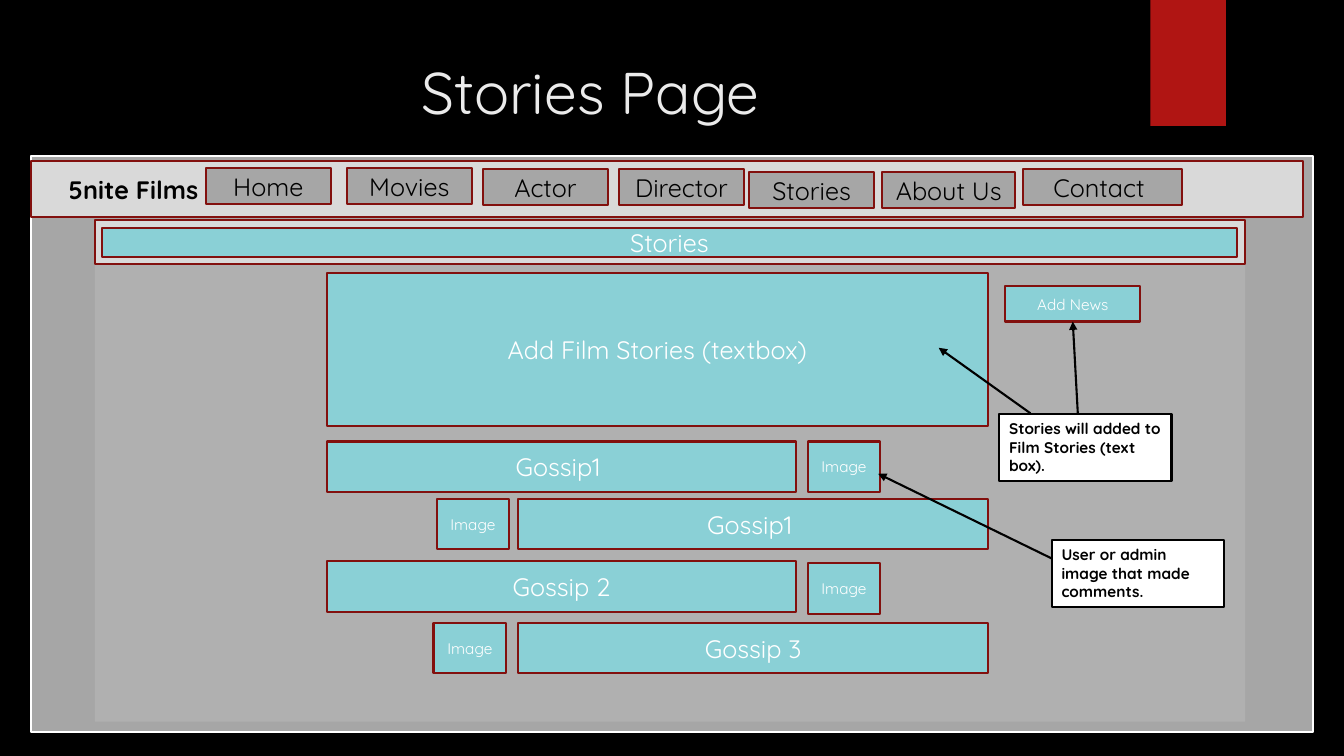
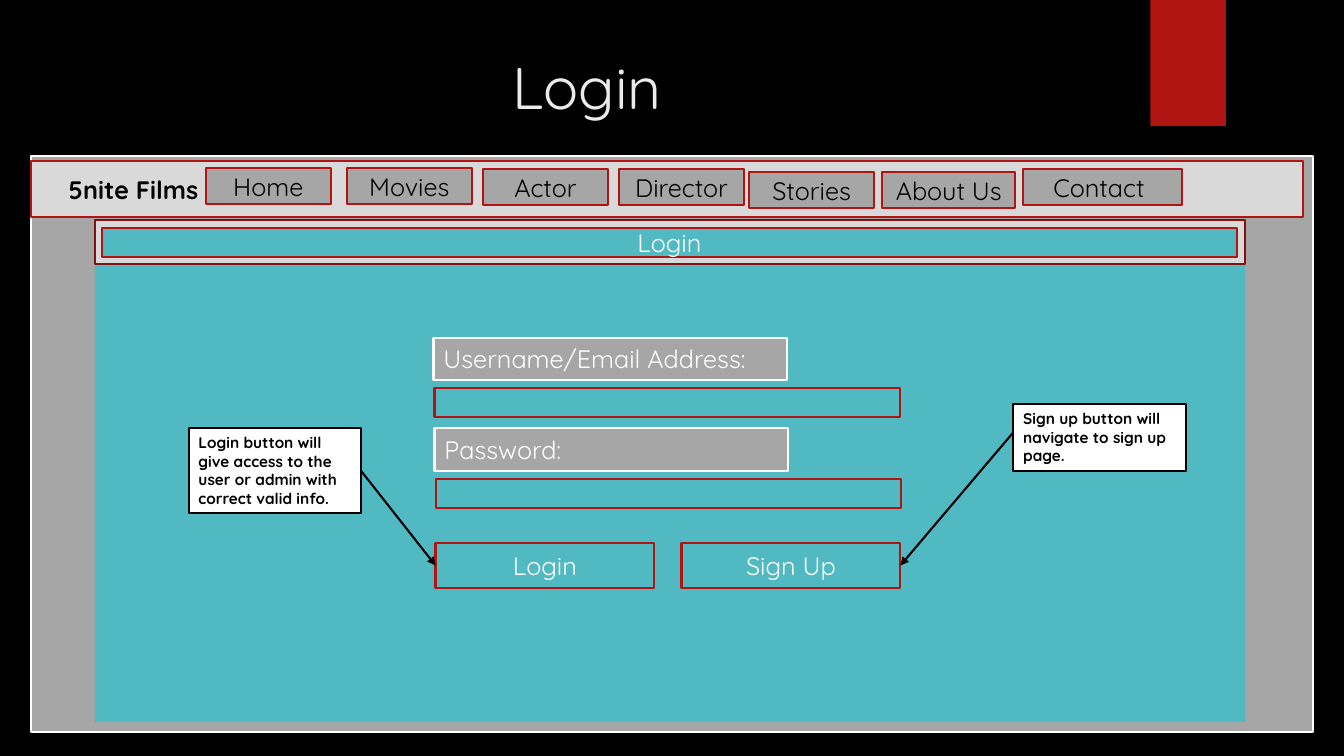
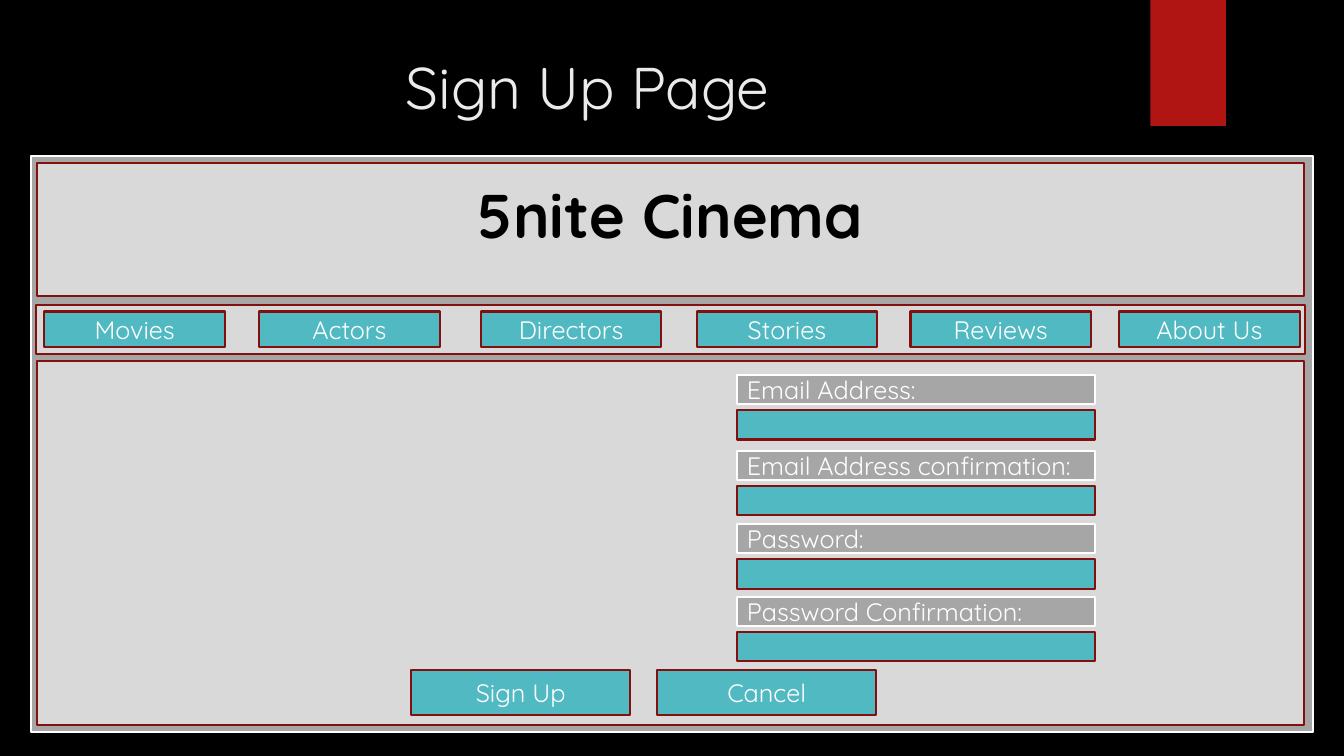
"""Build three wireframe slides of a film site: stories, login and sign up."""
from lxml.etree import SubElement
from pptx import Presentation
from pptx.dml.color import RGBColor
from pptx.enum.shapes import MSO_CONNECTOR, MSO_SHAPE
from pptx.enum.text import MSO_ANCHOR, MSO_AUTO_SIZE, PP_ALIGN
from pptx.oxml.ns import qn
from pptx.util import Emu, Pt

EMU_PER_PX = 9144
FONT = "Quicksand"
COLORS = {
    "black": "000000",
    "white": "FFFFFF",
    "title": "EBEBEB",
    "red": "B01513",
    "maroon": "82100E",
    "gray": "A6A6A6",
    "canvas": "B0B0B0",
    "light": "D9D9D9",
    "teal": "50B9C1",
    "aqua": "8AD0D6",
}
NAVIGATION = [
    ("Home", 204, 167, 124),
    ("Movies", 344, 167, 124),
    ("Actor", 479, 168, 124),
    ("Director", 614, 168, 124),
    ("Stories", 743, 171, 124),
    ("About Us", 875, 171, 132),
    ("Contact ", 1015, 168, 157),
]


def px(length):
    """Turn px into EMU."""
    return Emu(length * EMU_PER_PX)


def rgb(name):
    """Look up a named colour."""
    return RGBColor.from_string(COLORS[name])


def style_text(frame, size, color, bold=False, align=PP_ALIGN.CENTER):
    """Format every paragraph and run of a text frame."""
    for paragraph in frame.paragraphs:
        paragraph.alignment = align
        for run in paragraph.runs:
            run.font.name = FONT
            run.font.size = Pt(size)
            run.font.bold = bold
            run.font.color.rgb = rgb(color)


def add_box(slide, at, fill, line=None, text="", size=18, color="white",
            bold=False, align=PP_ALIGN.CENTER):
    """Add a rectangle, outlined and labelled if asked."""
    box = slide.shapes.add_shape(MSO_SHAPE.RECTANGLE, *map(px, at))
    box.shadow.inherit = False
    box.fill.solid()
    box.fill.fore_color.rgb = rgb(fill)
    if line:
        box.line.color.rgb = rgb(line)
        box.line.width = Pt(1.5)
    else:
        box.line.fill.background()
    if text:
        frame = box.text_frame
        frame.text = text
        frame.word_wrap = True
        frame.vertical_anchor = MSO_ANCHOR.MIDDLE
        style_text(frame, size, color, bold, align)
    return box


def add_field_label(slide, at, text):
    """Add the gray label above a form field."""
    add_box(slide, at, "gray", "white", text, align=PP_ALIGN.LEFT)


def add_callout(slide, left, top, height, text):
    """Add a white explanatory note."""
    note = add_box(slide, (left, top, 171, height), "white", "black", text,
                   11, "black", True, PP_ALIGN.LEFT)
    note.text_frame.vertical_anchor = MSO_ANCHOR.TOP
    note.text_frame.auto_size = MSO_AUTO_SIZE.SHAPE_TO_FIT_TEXT


def add_arrow(slide, start, end):
    """Add a black arrow from start to end."""
    arrow = slide.shapes.add_connector(
        MSO_CONNECTOR.STRAIGHT, *map(px, start + end))
    arrow.line.color.rgb = rgb("black")
    arrow.line.width = Pt(1.5)
    SubElement(arrow.line._get_or_add_ln(), qn("a:tailEnd"), type="triangle")
    SubElement(arrow._element.spPr, qn("a:effectLst"))


def add_page(prs, heading, title_at):
    """Add a slide with its title, red ribbon and page frame."""
    slide = prs.slides.add_slide(prs.slide_layouts[5])
    title = slide.shapes.title
    title.left, title.top, title.width, title.height = map(px, title_at)
    frame = title.text_frame
    frame.text = heading
    frame.word_wrap = True
    frame.auto_size = MSO_AUTO_SIZE.NONE
    frame.vertical_anchor = MSO_ANCHOR.TOP
    style_text(frame, 42, "title")
    add_box(slide, (1141, 0, 75, 125), "red")
    add_box(slide, (31, 155, 1271, 571), "gray", "white")
    return slide


def add_site_header(slide, heading, canvas, accent, line):
    """Add the site canvas, navigation bar and heading strip."""
    add_box(slide, (94, 220, 1141, 496), canvas)
    add_box(slide, (94, 218, 1141, 44), "light", "maroon")
    add_box(slide, (101, 226, 1126, 29), accent, line, heading)
    site_name = add_box(slide, (31, 160, 1261, 55), "light", line,
                        "5nite Films", 18, "black", True, PP_ALIGN.LEFT)
    site_name.text_frame.margin_left = px(37)
    for label, left, top, width in NAVIGATION:
        add_box(slide, (left, top, width, 35), "gray", line, label,
                color="black")


def add_stories_page(prs):
    """Build the stories page."""
    slide = add_page(prs, "Stories Page", (71, 50, 1029, 153))
    add_site_header(slide, "Stories", "canvas", "aqua", "maroon")
    add_box(slide, (324, 271, 656, 152), "aqua", "maroon",
            "Add Film Stories (textbox)")
    add_box(slide, (997, 284, 134, 35), "aqua", "maroon", "Add News", 11)
    comments = [
        ("Gossip1 ", 324, 438, 801, 438),
        ("Gossip1 ", 514, 495, 433, 495),
        ("Gossip 2", 324, 557, 801, 559),
        ("Gossip 3", 514, 618, 430, 618),
    ]
    for text, left, top, image_left, image_top in comments:
        add_box(slide, (left, top, 466, 50), "aqua", "maroon", text)
        add_box(slide, (image_left, image_top, 72, 50), "aqua", "maroon",
                "Image", 11)
    add_callout(slide, 991, 411, 66,
                "Stories will added to Film Stories (text box).")
    add_callout(slide, 1043, 536, 66,
                "User or admin image that made comments.")
    add_arrow(slide, (1069, 410), (1064, 319))
    add_arrow(slide, (1022, 410), (931, 345))
    add_arrow(slide, (1043, 554), (871, 470))


def add_login_page(prs):
    """Build the login page."""
    slide = add_page(prs, "Login", (66, 45, 1033, 158))
    add_site_header(slide, "Login", "teal", "teal", "red")
    fields = [("Username/Email Address:", 430, 335), ("Password:", 431, 425)]
    for text, left, top in fields:
        add_field_label(slide, (left, top, 351, 42), text)
        add_box(slide, (left + 1, top + 50, 462, 29), "teal", "red")
    for text, left in [("Login", 432), ("Sign Up", 676)]:
        add_box(slide, (left, 539, 217, 44), "teal", "red", text)
    add_callout(slide, 1005, 401, 66,
                "Sign up button will navigate to sign up page.")
    add_callout(slide, 187, 425, 84,
                "Login button will give access to the user or admin "
                "with correct valid info.")
    add_arrow(slide, (1005, 429), (893, 561))
    add_arrow(slide, (358, 467), (432, 561))


def add_sign_up_page(prs):
    """Build the sign up page."""
    slide = add_page(prs, "Sign Up Page", (66, 45, 1033, 158))
    banner = add_box(slide, (37, 162, 1256, 132), "light", "maroon",
                     "5nite Cinema", 44, "black", True)
    banner.text_frame.margin_bottom = px(36)
    add_box(slide, (37, 358, 1256, 361), "light", "maroon")
    add_box(slide, (36, 303, 1258, 48), "light", "maroon")
    menu = [("Movies", 44), ("Actors", 257), ("Directors", 477),
            ("Stories", 691), ("Reviews", 903), ("About Us", 1110)]
    for text, left in menu:
        add_box(slide, (left, 309, 179, 35), "teal", "maroon", text)
    fields = [("Email Address:", 372), ("Email Address confirmation:", 447),
              ("Password:", 520), ("Password Confirmation:", 592)]
    for text, top in fields:
        add_field_label(slide, (731, top, 355, 29), text)
        add_box(slide, (731, top + 35, 355, 29), "teal", "maroon")
    for text, left in [("Sign Up", 408), ("Cancel", 652)]:
        add_box(slide, (left, 665, 217, 44), "teal", "maroon", text)


def main():
    """Build and save the presentation."""
    prs = Presentation()
    prs.slide_width, prs.slide_height = px(1333), px(750)
    backdrop = prs.slide_master.background.fill
    backdrop.solid()
    backdrop.fore_color.rgb = rgb("black")
    add_stories_page(prs)
    add_login_page(prs)
    add_sign_up_page(prs)
    prs.save("out.pptx")


if __name__ == "__main__":
    main()
